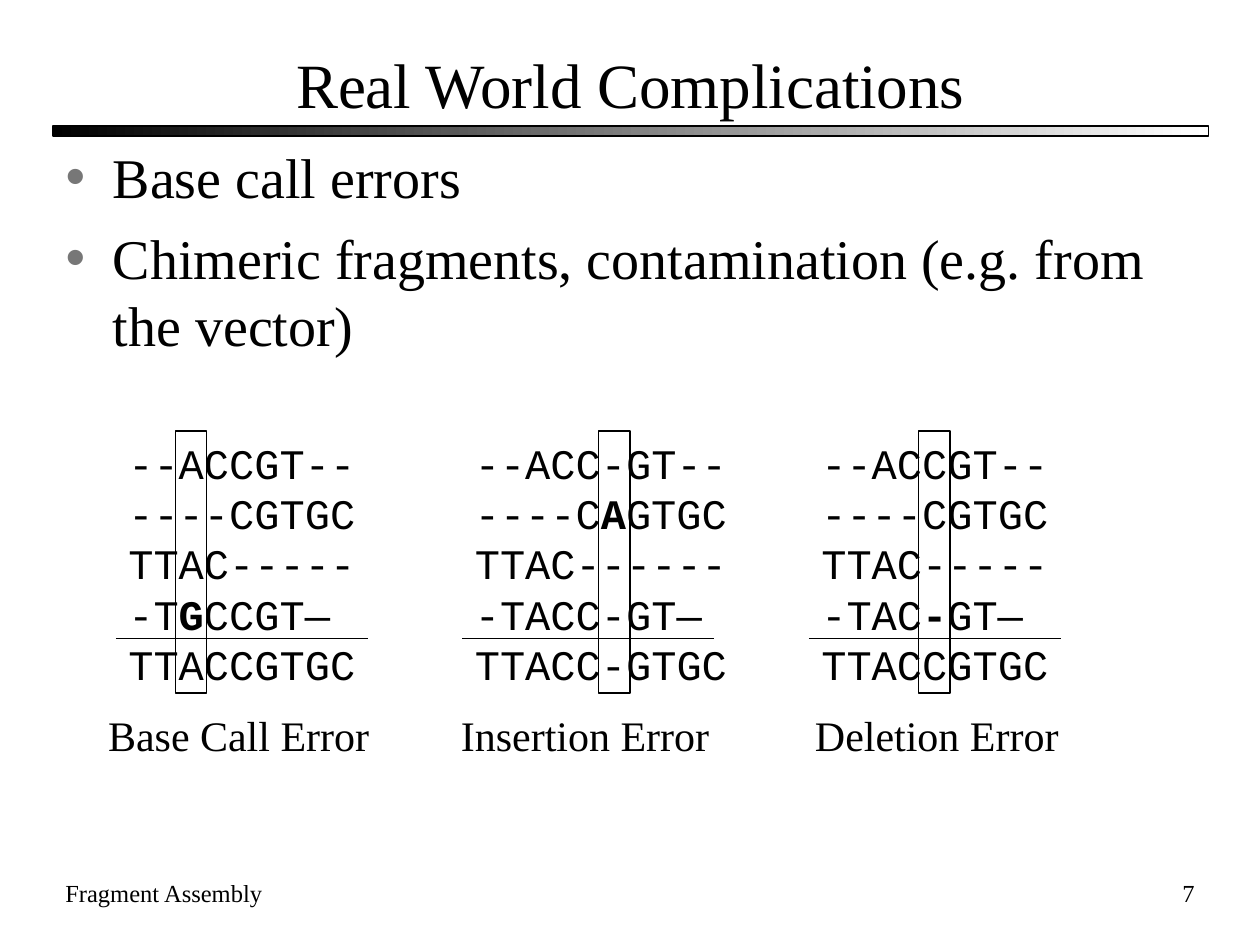
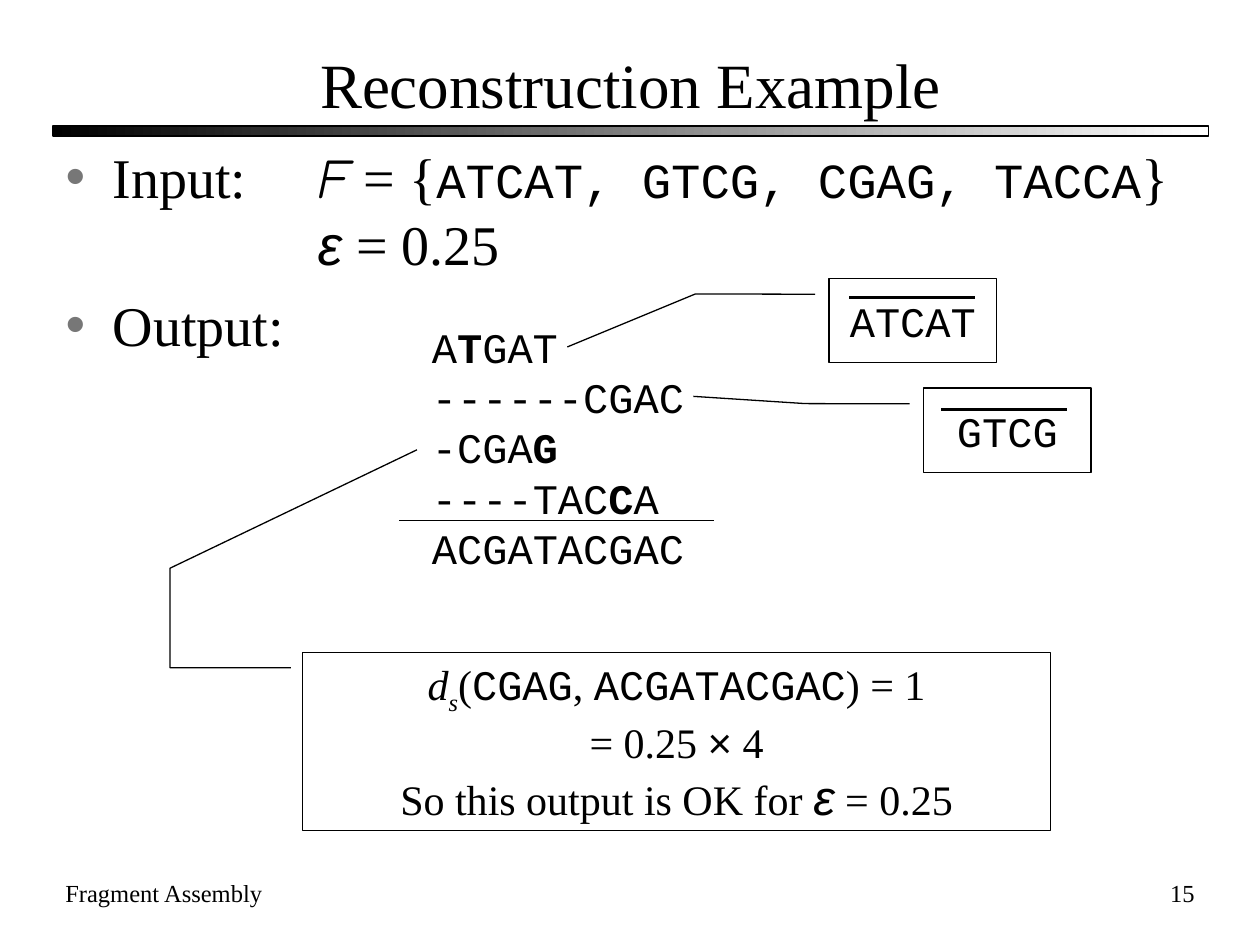
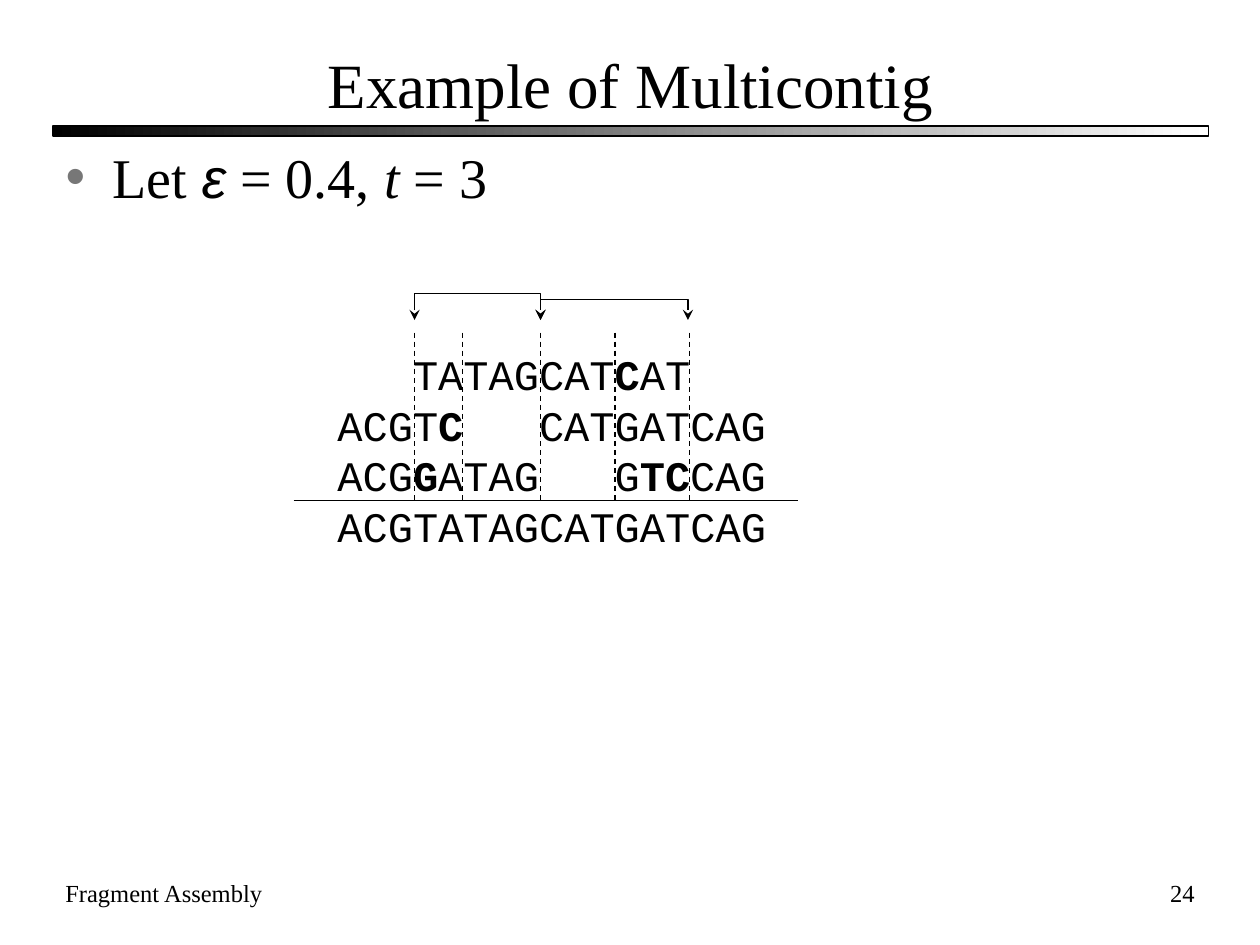
"""Build three fragment assembly slides on sequencing errors and reconstruction."""
from lxml.etree import SubElement
from pptx import Presentation
from pptx.dml.color import RGBColor
from pptx.enum.dml import MSO_LINE
from pptx.enum.shapes import MSO_CONNECTOR, MSO_SHAPE
from pptx.enum.text import MSO_ANCHOR, MSO_AUTO_SIZE, PP_ALIGN
from pptx.oxml.ns import qn
from pptx.util import Inches, Pt

BLACK, WHITE, BULLET_GRAY = "000000", "FFFFFF", "777777"
SERIF, MONO, SANS, SCRIPT = "Times New Roman", "Courier New", "Arial", "Comic Neue"


def outline(shape, color=BLACK, width=0.75):
    """Give a shape or connector a plain line without a shadow."""
    shape.line.color.rgb = RGBColor.from_string(color)
    shape.line.width = Pt(width)
    SubElement(shape._element.spPr, qn("a:effectLst"))


def write(para, spans, size, font=SERIF, align=PP_ALIGN.LEFT):
    """Fill a paragraph with (text, font changes) spans."""
    para.alignment = align
    para.font.size = Pt(size)
    para.font.name = font
    para.font.color.rgb = RGBColor.from_string(BLACK)
    for text, changes in spans:
        if text == "\n":
            para.add_line_break()
            continue
        span = para.add_run()
        span.text = text
        for name, value in changes.items():
            setattr(span.font, name, value)


deck = Presentation()
deck.slide_width, deck.slide_height = Inches(10), Inches(7.5)

epsilon = ("ε", {"name": SANS, "italic": True})
contents = [
    ("Real World Complications", "7", 5.75, [
        [("Base call errors", {})],
        [("Chimeric fragments, contamination (e.g. from the vector)", {})],
    ]),
    ("Reconstruction Example", "15", 5.75, [
        [("Input:\t", {}), ("F", {"name": SCRIPT, "italic": True}), (" = {", {}),
         ("ATCAT, GTCG, CGAG, TACCA", {"name": MONO, "size": Pt(28)}), ("}", {}),
         ("\n", {}), ("\t\t", {}), epsilon, (" = 0.25", {})],
        [("Output:", {})],
    ]),
    ("Example of Multicontig", "24", 1, [
        [("Let ", {}), epsilon, (" = 0.4, ", {}), ("t", {"italic": True}), (" = 3", {})],
    ]),
]
for title, number, body_height, items in contents:
    page = deck.slides.add_slide(deck.slide_layouts[1])
    heading, body = page.placeholders
    heading.left, heading.top = Inches(0.42), Inches(0.33)
    heading.width, heading.height = Inches(9.17), Inches(0.67)
    heading.text_frame.auto_size = MSO_AUTO_SIZE.NONE
    heading.text_frame.vertical_anchor = MSO_ANCHOR.MIDDLE
    write(heading.text_frame.paragraphs[0], [(title, {})], 36, align=PP_ALIGN.CENTER)

    body.left, body.top = Inches(0.42), Inches(1.08)
    body.width, body.height = Inches(9.17), Inches(body_height)
    body.text_frame.auto_size = MSO_AUTO_SIZE.NONE
    for index, spans in enumerate(items):
        para = body.text_frame.add_paragraph() if index else body.text_frame.paragraphs[0]
        para.space_before = Pt(8 if index else 0)
        properties = para._p.get_or_add_pPr()
        bullet_color = SubElement(properties, qn("a:buClr"))
        SubElement(bullet_color, qn("a:srgbClr"), val=BULLET_GRAY)
        SubElement(properties, qn("a:buChar"), char="•")
        tabs = SubElement(properties, qn("a:tabLst"))
        for stop in (1, 2):
            SubElement(tabs, qn("a:tab"), pos=str(Inches(stop)), algn="l")
        write(para, spans, 32)

    for text, left, width, align in [("Fragment Assembly", 0.42, 3.5, PP_ALIGN.LEFT),
                                     (number, 7.5, 2.08, PP_ALIGN.RIGHT)]:
        box = page.shapes.add_textbox(Inches(left), Inches(6.92), Inches(width), Inches(0.5))
        box.text_frame.word_wrap = True
        write(box.text_frame.paragraphs[0], [(text, {})], 14, align=align)

errors_page, example_page, multicontig_page = deck.slides

band = errors_page.shapes.add_shape(
    MSO_SHAPE.RECTANGLE, Inches(0.42), Inches(1), Inches(9.17), Inches(0.08))
band.fill.gradient()
band.fill.gradient_angle = 0
for stop, color in zip(band.fill.gradient_stops, (BLACK, WHITE)):
    stop.color.rgb = RGBColor.from_string(color)
outline(band)
deck.slide_master.shapes._spTree.append(band._element)

alignments = [
    (example_page, 3.33, 2.5, 2.5,
     ["A*T*GAT", "------CGAC", "-CGA*G*", "----TAC*C*A", "ACGATACGAC"]),
    (multicontig_page, 2.58, 2.72, 3.83,
     ["\tTATAGCAT*C*AT", "ACGT*C*\tCATGATCAG", "ACG*G*ATAG\tG*TC*CAG", "ACGTATAGCATGATCAG"]),
]
lines = [
    (example_page, 3.17, 4.13, 5.67, 4.13, 0.75, False),
    (example_page, 6.74, 2.36, 7.74, 2.36, 1.5, False),
    (example_page, 7.47, 3.25, 8.47, 3.25, 1.5, False),
    (multicontig_page, 2.33, 3.97, 6.33, 3.97, 0.75, False),
]
for x in (3.29, 3.67, 4.29, 4.88, 5.47):
    lines.append((multicontig_page, x, 2.64, x, 3.97, 0.75, True))

errors = [
    ("Base Call Error", 0.76, 1.39,
     ["--ACCGT--", "----CGTGC", "TTAC-----", "-T*G*CCGT—", "TTACCGTGC"]),
    ("Insertion Error", 3.56, 4.75,
     ["--ACC-GT--", "----C*A*GTGC", "TTAC------", "-TACC-GT—", "TTACC-GTGC"]),
    ("Deletion Error", 6.37, 7.29,
     ["--ACCGT--", "----CGTGC", "TTAC-----", "-TAC*-*GT—", "TTACCGTGC"]),
]
for index, (caption, caption_left, column_left, rows) in enumerate(errors):
    left = 0.92 + 2.75 * index
    alignments.append((errors_page, left, 3.42, 2.42, rows))
    lines.append((errors_page, left, 5.07, left + 2, 5.07, 0.75, False))
    column = errors_page.shapes.add_shape(
        MSO_SHAPE.RECTANGLE, Inches(column_left), Inches(3.42), Inches(0.25), Inches(2.08))
    column.fill.background()
    outline(column)
    box = errors_page.shapes.add_textbox(
        Inches(caption_left), Inches(5.58), Inches(2.4), Inches(0.5))
    box.text_frame.word_wrap = True
    write(box.text_frame.paragraphs[0], [(caption, {})], 24)

row_stops = {0: 0.6, 1: 1.6, 2: 2.2}
for page, left, top, width, rows in alignments:
    box = page.shapes.add_textbox(Inches(left), Inches(top), Inches(width), Inches(2.1))
    box.text_frame.word_wrap = True
    for index, row in enumerate(rows):
        para = box.text_frame.add_paragraph() if index else box.text_frame.paragraphs[0]
        if "\t" in row:
            tabs = SubElement(para._p.get_or_add_pPr(), qn("a:tabLst"))
            SubElement(tabs, qn("a:tab"), pos=str(Inches(row_stops[index])), algn="l")
        pieces = enumerate(row.split("*"))
        write(para, [(piece, {"bold": order % 2 == 1}) for order, piece in pieces if piece],
              24, MONO)

callouts = [
    ("ATCAT", 6.58, 2.21, [0.188, -0.083, 0.185, -0.798, 0.812, -1.562]),
    ("GTCG", 7.33, 3.08, [0.188, -0.083, 0.185, -0.706, 0.099, -1.374]),
]
for text, left, top, pointer in callouts:
    callout = example_page.shapes.add_shape(
        MSO_SHAPE.LINE_CALLOUT_2, Inches(left), Inches(top), Inches(1.33), Inches(0.67))
    for index, value in enumerate(pointer):
        callout.adjustments[index] = value
    callout.fill.background()
    outline(callout)
    callout.text_frame.vertical_anchor = MSO_ANCHOR.MIDDLE
    write(callout.text_frame.paragraphs[0], [(text, {})], 24, MONO, PP_ALIGN.CENTER)

distance = example_page.shapes.add_shape(
    MSO_SHAPE.RECTANGLE, Inches(2.4), Inches(5.18), Inches(5.94), Inches(1.41))
distance.fill.background()
outline(distance)
distance.text_frame.vertical_anchor = MSO_ANCHOR.TOP
statements = [
    [("d", {"italic": True}), ("s", {"italic": True}), ("(", {}), ("CGAG", {"name": MONO}),
     (", ", {}), ("ACGATACGAC", {"name": MONO}), (") = 1", {})],
    [("= 0.25 ", {}), ("×", {"name": SANS}), (" 4", {})],
    [("So this output is OK for ", {}),
     ("ε", {"name": SANS, "italic": True, "size": Pt(28)}), (" = 0.25", {})],
]
for index, spans in enumerate(statements):
    frame = distance.text_frame
    para = frame.add_paragraph() if index else frame.paragraphs[0]
    write(para, spans, 24, align=PP_ALIGN.CENTER)
subscript = distance.text_frame.paragraphs[0].runs[1]
subscript._r.get_or_add_rPr().set("baseline", "-25000")

for page, x1, y1, x2, y2, width, dashed in lines:
    line = page.shapes.add_connector(
        MSO_CONNECTOR.STRAIGHT, Inches(x1), Inches(y1), Inches(x2), Inches(y2))
    outline(line, width=width)
    if dashed:
        line.line.dash_style = MSO_LINE.DASH

polylines = [
    (example_page, [(2.31, 5.3), (1.35, 5.3), (1.35, 4.51), (3.31, 3.57)], False),
    (multicontig_page, [(3.29, 2.54), (3.29, 2.33), (4.29, 2.33), (4.29, 2.54)], True),
    (multicontig_page, [(4.29, 2.54), (4.29, 2.38), (5.46, 2.38), (5.46, 2.54)], True),
]
for page, points, arrows in polylines:
    corners = [(Inches(x), Inches(y)) for x, y in points]
    builder = page.shapes.build_freeform(*corners[0])
    builder.add_line_segments(corners[1:], close=False)
    polyline = builder.convert_to_shape()
    polyline.fill.background()
    outline(polyline)
    if arrows:
        for end in ("a:headEnd", "a:tailEnd"):
            SubElement(polyline.line._get_or_add_ln(), qn(end), type="stealth")

deck.save("out.pptx")
